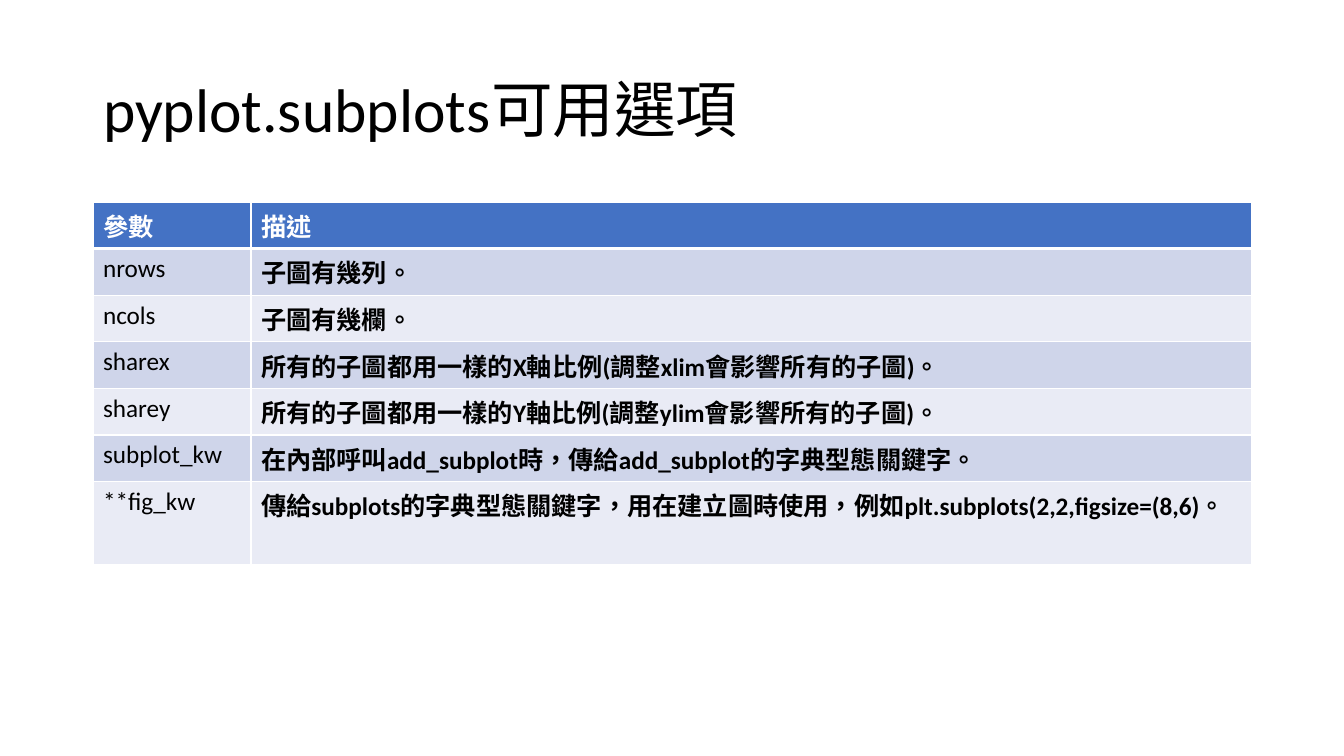
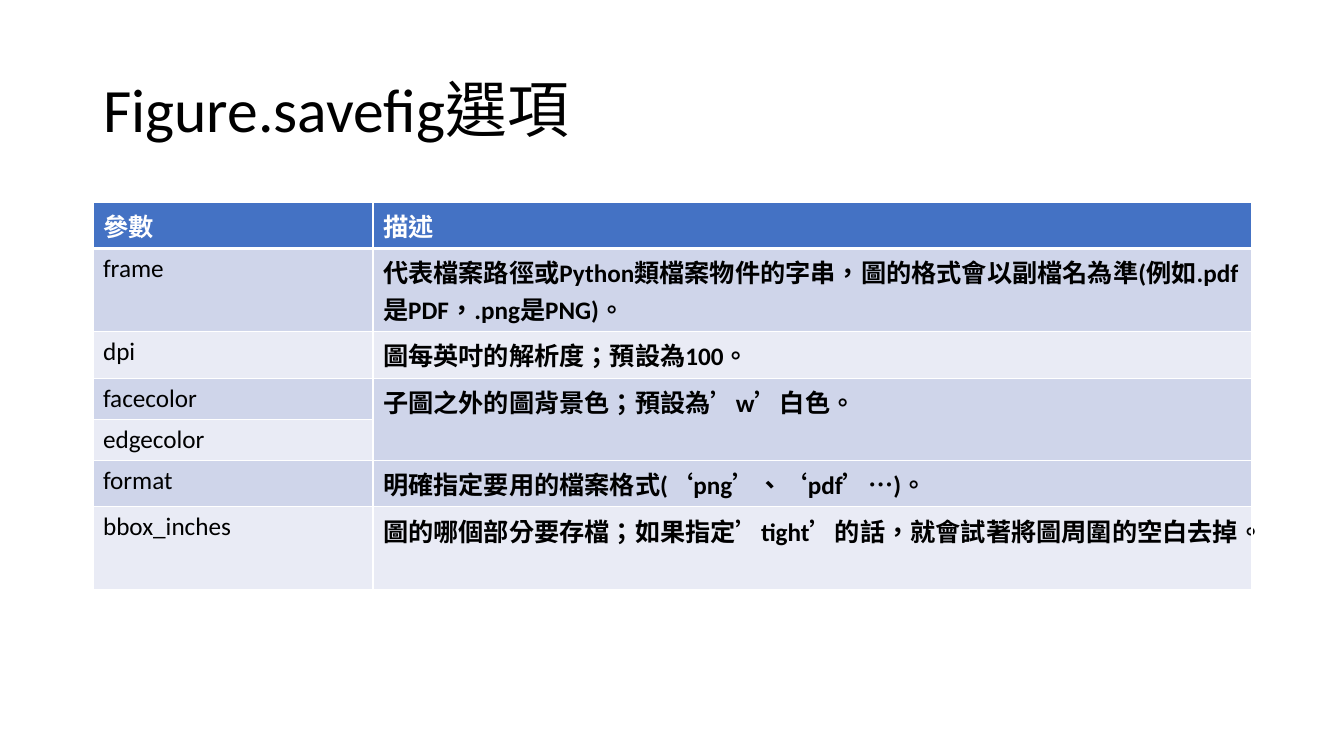
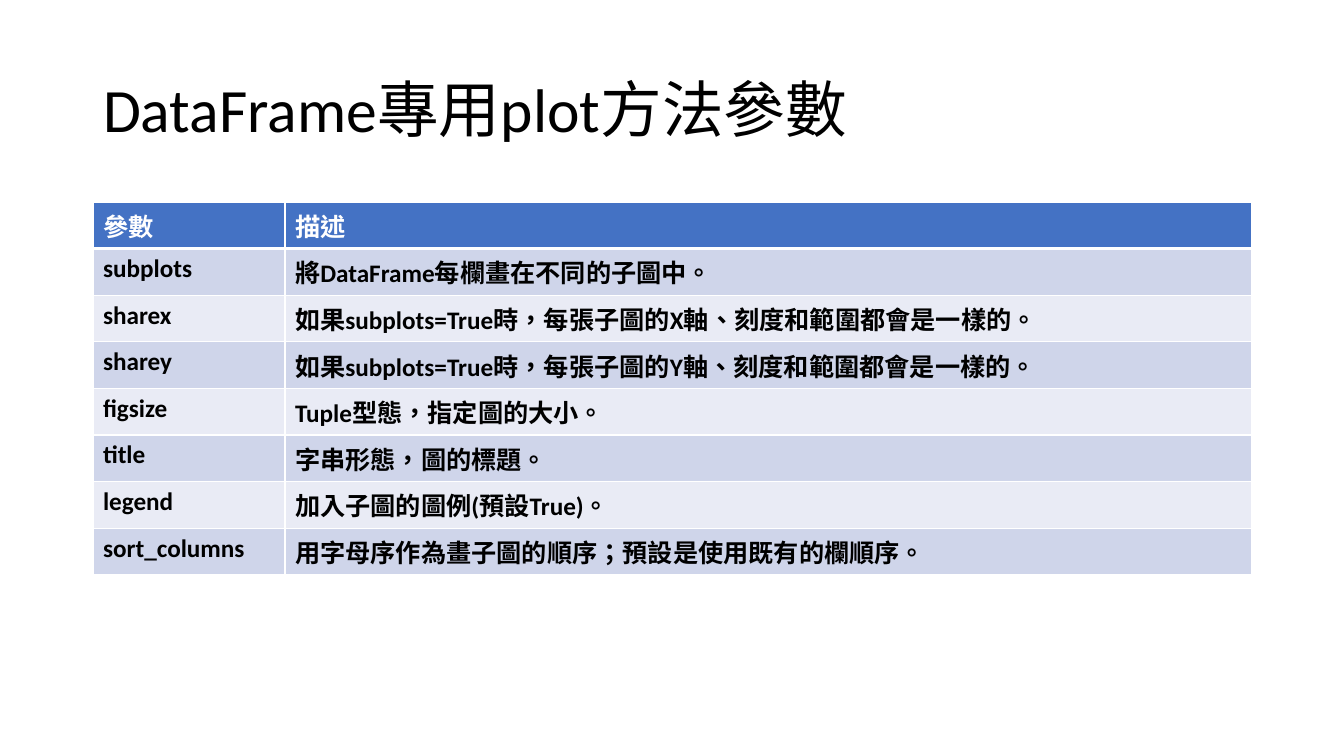
from dataclasses import dataclass

from lxml import etree
from pptx import Presentation
from pptx.dml.color import RGBColor
from pptx.enum.lang import MSO_LANGUAGE_ID
from pptx.enum.text import MSO_ANCHOR, PP_ALIGN
from pptx.oxml.ns import qn
from pptx.presentation import Presentation as Deck
from pptx.slide import Slide
from pptx.table import _Cell
from pptx.text.text import TextFrame
from pptx.util import Emu, Pt

LEFT = PP_ALIGN.LEFT
MIDDLE = MSO_ANCHOR.MIDDLE
CHINESE = MSO_LANGUAGE_ID.TRADITIONAL_CHINESE

BLACK = RGBColor(0x00, 0x00, 0x00)
WHITE = RGBColor(0xFF, 0xFF, 0xFF)
HEADER_BLUE = RGBColor(0x44, 0x72, 0xC4)
BANDS = (RGBColor(0xCF, 0xD5, 0xEA), RGBColor(0xE9, 0xEB, 0xF5))

FONT = "Calibri"
EMU_PER_PX = 914400 / 100.8
SLIDE_W, SLIDE_H = 1344, 756
MARGIN_X, CONTENT_W = 93, 1159
TITLE_TOP, TITLE_H = 40, 146
TABLE_TOP, ROW_H = 202, 41
TITLE_LAYOUT = 5
HEADER = ("參數", "描述")


@dataclass(frozen=True)
class Option:
    name: str
    description: str | None  # None shares the description of the row above


@dataclass(frozen=True)
class OptionSlide:
    title: str
    name_width: int
    options: tuple[Option, ...]
    bold_names: bool = False


SLIDES = (
    OptionSlide("pyplot.subplots可用選項", 158, (
        Option("nrows", "子圖有幾列。"),
        Option("ncols", "子圖有幾欄。"),
        Option("sharex", "所有的子圖都用一樣的X軸比例(調整xlim會影響所有的子圖)。"),
        Option("sharey", "所有的子圖都用一樣的Y軸比例(調整ylim會影響所有的子圖)。"),
        Option("subplot_kw", "在內部呼叫add_subplot時，傳給add_subplot的字典型態關鍵字。"),
        Option("**fig_kw", "傳給subplots的字典型態關鍵字，用在建立圖時使用，"
                           "例如plt.subplots(2,2,figsize=(8,6)。"),
    )),
    OptionSlide("Figure.savefig選項", 280, (
        Option("frame", "代表檔案路徑或Python類檔案物件的字串，"
                        "圖的格式會以副檔名為準(例如.pdf是PDF，.png是PNG)。"),
        Option("dpi", "圖每英吋的解析度；預設為100。"),
        Option("facecolor", "子圖之外的圖背景色；預設為’w’白色。"),
        Option("edgecolor", None),
        Option("format", "明確指定要用的檔案格式(‘png’、‘pdf’…)。"),
        Option("bbox_inches", "圖的哪個部分要存檔；如果指定’tight’的話，"
                              "就會試著將圖周圍的空白去掉。"),
    )),
    OptionSlide("DataFrame專用plot方法參數", 192, (
        Option("subplots", "將DataFrame每欄畫在不同的子圖中。"),
        Option("sharex", "如果subplots=True時，每張子圖的X軸、刻度和範圍都會是一樣的。"),
        Option("sharey", "如果subplots=True時，每張子圖的Y軸、刻度和範圍都會是一樣的。"),
        Option("figsize", "Tuple型態，指定圖的大小。"),
        Option("title", "字串形態，圖的標題。"),
        Option("legend", "加入子圖的圖例(預設True)。"),
        Option("sort_columns", "用字母序作為畫子圖的順序；預設是使用既有的欄順序。"),
    ), bold_names=True),
)


def px(length: int) -> Emu:
    return Emu(round(length * EMU_PER_PX))


def write_text(frame: TextFrame, text: str, *, size: int = 18, color: RGBColor = BLACK,
               bold: bool = False, line_spacing: float = 1.0) -> None:
    paragraph = frame.paragraphs[0]
    paragraph.alignment = LEFT
    paragraph.line_spacing = line_spacing
    run = paragraph.add_run()
    run.text = text
    font = run.font
    font.name = FONT
    font.size = Pt(size)
    font.bold = bold
    font.color.rgb = color
    font.language_id = CHINESE


def style_cell(cell: _Cell, fill: RGBColor, top: int = 1, bottom: int = 1) -> None:
    """Fill the cell and give it white borders, with widths in points."""
    properties = cell._tc.get_or_add_tcPr()
    for side, width in (("L", 1), ("R", 1), ("T", top), ("B", bottom)):
        line = etree.SubElement(properties, qn(f"a:ln{side}"), w=str(Pt(width)))
        solid = etree.SubElement(line, qn("a:solidFill"))
        etree.SubElement(solid, qn("a:srgbClr"), val=str(WHITE))
    cell.fill.solid()
    cell.fill.fore_color.rgb = fill


def add_title(slide: Slide, text: str) -> None:
    title = slide.shapes.title
    title.left, title.top = px(MARGIN_X), px(TITLE_TOP)
    title.width, title.height = px(CONTENT_W), px(TITLE_H)
    title.text_frame.vertical_anchor = MIDDLE
    write_text(title.text_frame, text, size=44, line_spacing=0.9)


def add_option_table(slide: Slide, content: OptionSlide) -> None:
    row_count = len(content.options) + 1
    table = slide.shapes.add_table(
        row_count, len(HEADER), px(MARGIN_X), px(TABLE_TOP),
        px(CONTENT_W), px(ROW_H * row_count)).table
    widths = (content.name_width, CONTENT_W - content.name_width)
    for column, (heading, width) in enumerate(zip(HEADER, widths)):
        table.columns[column].width = px(width)
        cell = table.cell(0, column)
        style_cell(cell, HEADER_BLUE, bottom=3)
        write_text(cell.text_frame, heading, color=WHITE, bold=True)

    for row, option in enumerate(content.options, start=1):
        name, description = table.cell(row, 0), table.cell(row, 1)
        for cell in (name, description):
            style_cell(cell, BANDS[(row - 1) % len(BANDS)], top=3 if row == 1 else 1)
        write_text(name.text_frame, option.name, bold=content.bold_names)
        if option.description is None:
            table.cell(row - 1, 1).merge(description)
        else:
            write_text(description.text_frame, option.description, bold=True)


def add_option_slide(deck: Deck, content: OptionSlide) -> None:
    slide = deck.slides.add_slide(deck.slide_layouts[TITLE_LAYOUT])
    add_title(slide, content.title)
    add_option_table(slide, content)


def main() -> None:
    deck = Presentation()
    deck.slide_width, deck.slide_height = px(SLIDE_W), px(SLIDE_H)
    for content in SLIDES:
        add_option_slide(deck, content)
    deck.save("out.pptx")


if __name__ == "__main__":
    main()
